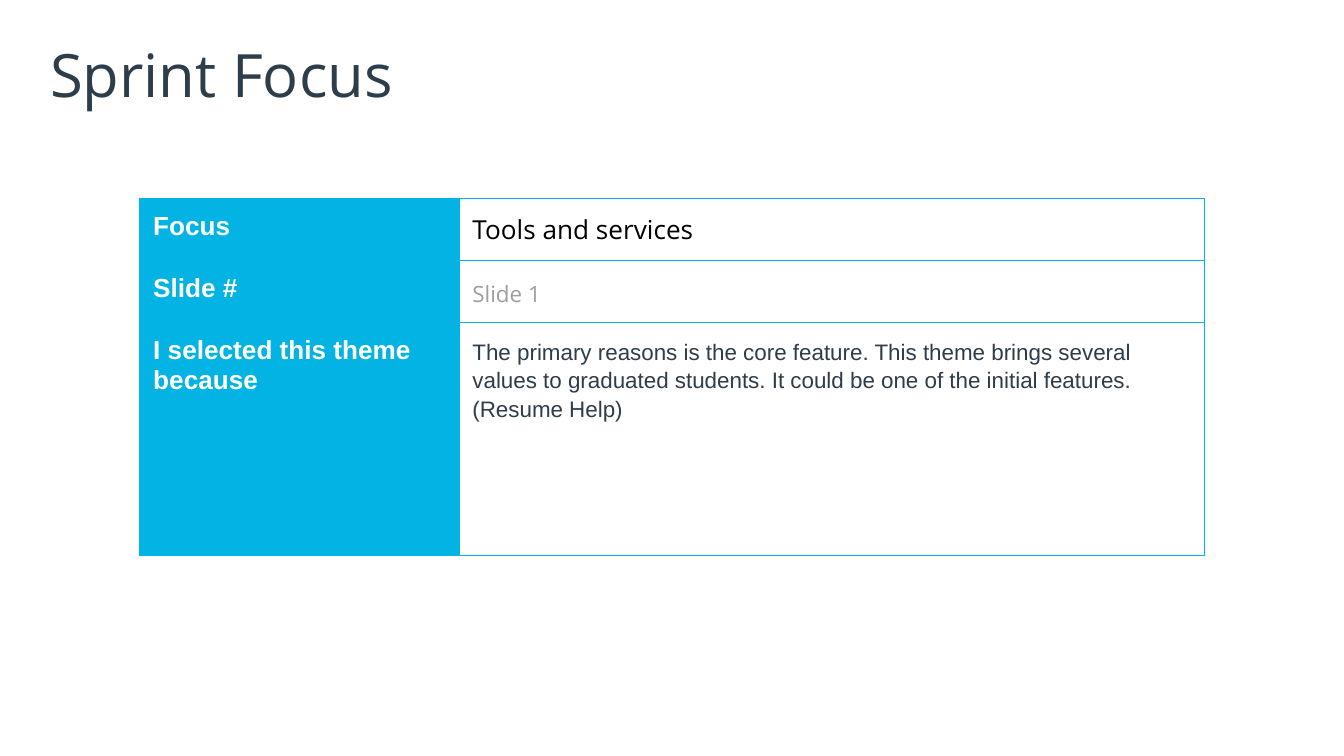
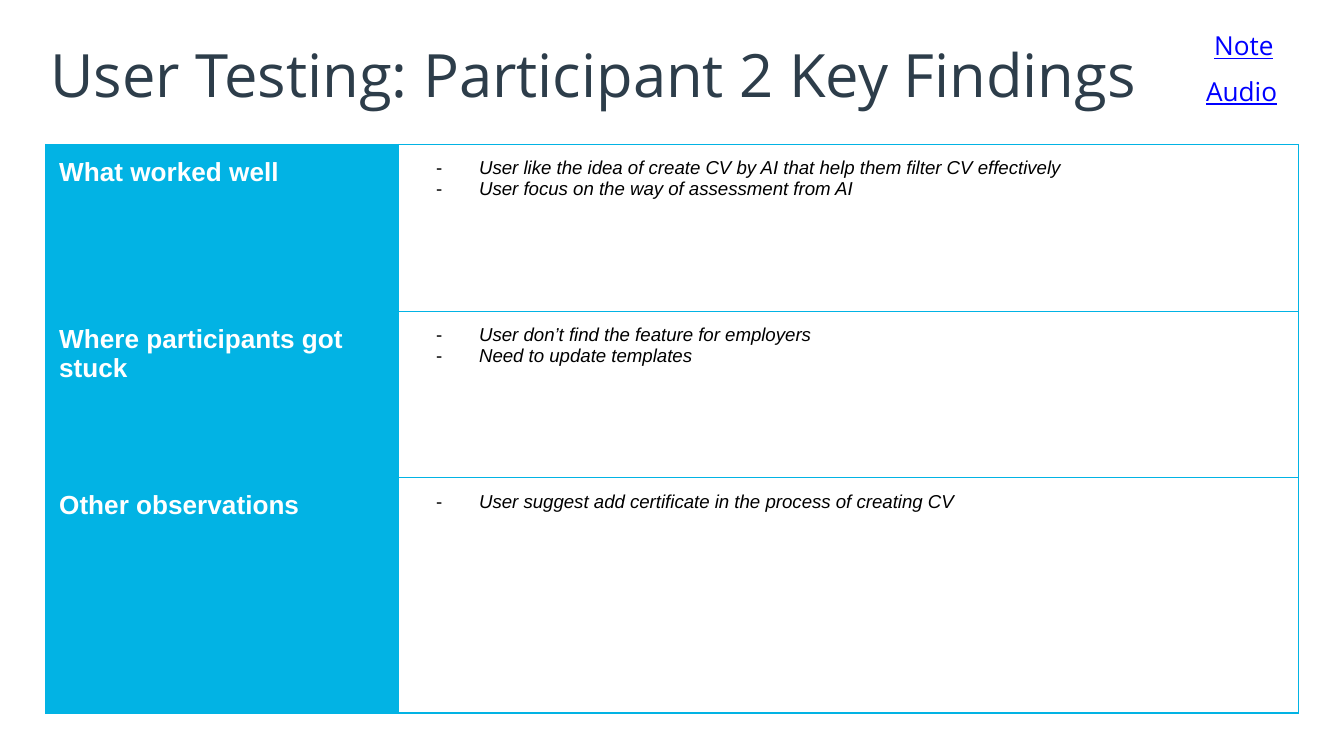
from lxml import etree
from pptx import Presentation
from pptx.dml.color import RGBColor
from pptx.enum.text import MSO_ANCHOR
from pptx.oxml.ns import qn
from pptx.util import Emu, Inches, Pt

MIDDLE = MSO_ANCHOR.MIDDLE
SANS, ARIAL = "Open Sans", "Arial"
SLATE, INK, CYAN = "2D3D4A", "2E3D49", "02B3E4"
WHITE, BLACK, GREY, LINK = "FFFFFF", "000000", "9E9E9E", "0000FF"
BORDERS = ("a:lnL", "a:lnR", "a:lnT", "a:lnB")
BLANK = 6
GRID = 100  # the slide is 100 square units wide

prs = Presentation()
prs.slide_width = Inches(10)
prs.slide_height = Emu(prs.slide_width * 9 // 16)


def rgb(value):
    return RGBColor.from_string(value)


def units(n):
    """Length of n grid units."""
    return Emu(round(prs.slide_width * n / GRID))


def add_run(p, text, size, font, color, bold=False, italic=False, underline=False):
    r = p.add_run()
    r.text = text
    f = r.font
    f.size, f.name, f.color.rgb = Pt(size), font, rgb(color)
    f.bold, f.italic, f.underline = bold, italic, underline


def add_text(slide, box, inset, text, size, color, anchor=None, underline=False):
    tf = slide.shapes.add_textbox(*map(units, box)).text_frame
    tf.word_wrap = True
    tf.margin_left = tf.margin_right = tf.margin_top = tf.margin_bottom = units(inset)
    if anchor is not None:
        tf.vertical_anchor = anchor
    add_run(tf.paragraphs[0], text, size, SANS, color, underline=underline)


def add_titled_slide(title):
    slide = prs.slides.add_slide(prs.slide_layouts[BLANK])
    slide.background.fill.solid()
    slide.background.fill.fore_color.rgb = rgb(WHITE)
    add_text(slide, (3.35, 2.3, 93.2, 6.3), 0.38, title, 32, SLATE, anchor=MIDDLE)
    return slide


def add_color(parent, tag, color):
    etree.SubElement(etree.SubElement(parent, qn(tag)), qn("a:srgbClr"), val=color)


def style_cell(cell, fill=None):
    cell.margin_left = cell.margin_right = units(1)
    cell.margin_top = cell.margin_bottom = units(1)
    tcPr = cell._tc.get_or_add_tcPr()
    for tag in BORDERS:
        line = etree.SubElement(tcPr, qn(tag), w=str(Pt(0.75)))
        add_color(line, "a:solidFill", CYAN)
    if fill:
        cell.fill.solid()
        cell.fill.fore_color.rgb = rgb(fill)
    else:
        cell.fill.background()


def add_dash(p, size):
    pPr = p._p.get_or_add_pPr()
    pPr.set("marL", str(units(5)))
    pPr.set("indent", str(units(-3.2)))
    add_color(pPr, "a:buClr", BLACK)
    etree.SubElement(pPr, qn("a:buSzPts"), val=str(size * 100))
    etree.SubElement(pPr, qn("a:buFont"), typeface=ARIAL)
    etree.SubElement(pPr, qn("a:buChar"), char="-")


def write_findings(cell, lines, size=10):
    tf = cell.text_frame
    for i, line in enumerate(lines):
        p = tf.add_paragraph() if i else tf.paragraphs[0]
        add_dash(p, size)
        add_run(p, line, size, ARIAL, BLACK, italic=True)


def write_answer(cell, answer):
    text, size, font, color, spacing = answer
    p = cell.text_frame.paragraphs[0]
    if spacing:
        p.line_spacing = spacing
    add_run(p, text, size, font, color)


def add_label_table(slide, left, top, widths, heights, rows, write):
    """Cyan label column beside a column that write() fills."""
    box = map(units, (left, top, sum(widths), sum(heights)))
    table = slide.shapes.add_table(len(rows), len(widths), *box).table
    table.first_row = table.horz_banding = False
    for column, width in zip(table.columns, widths):
        column.width = units(width)
    for i, (height, (label, content)) in enumerate(zip(heights, rows)):
        table.rows[i].height = units(height)
        head, body = table.cell(i, 0), table.cell(i, 1)
        style_cell(head, CYAN)
        style_cell(body)
        add_run(head.text_frame.paragraphs[0], label, 14, ARIAL, WHITE, bold=True)
        write(body, content)


def build_sprint_focus():
    slide = add_titled_slide("Sprint Focus")
    reason = ("The primary reasons is the core feature. This theme brings several values to "
              "graduated students. It could be one of the initial features. (Resume Help)")
    rows = [
        ("Focus", ("Tools and services", 14, SANS, BLACK, None)),
        ("Slide #", ("Slide 1", 12, SANS, GREY, 1.15)),
        ("I selected this theme because", (reason, 12, ARIAL, INK, 1.15)),
    ]
    add_label_table(slide, 10.4, 14.75, (23.75, 55.45), (4.65, 4.6, 17.35), rows, write_answer)


def build_key_findings():
    slide = add_titled_slide("User Testing: Participant 2 Key Findings")
    rows = [
        ("What worked well",
         ["User like the idea of create CV by AI that help them filter CV effectively",
          "User focus on the way of assessment from AI"]),
        ("Where participants got stuck",
         ["User don’t find the feature for employers", "Need to update templates"]),
        ("Other observations",
         ["User suggest add certificate in the process of creating CV"]),
    ]
    add_label_table(slide, 3.4, 10.75, (26.25, 66.95), (12.4, 12.4, 17.5), rows, write_findings)
    for text, left, top in (("Audio", 88.75, 4.6), ("Note", 89.35, 1.2)):
        add_text(slide, (left, top, 8.2, 4.4), 1, text, 14, LINK, underline=True)


def main():
    build_sprint_focus()
    build_key_findings()
    prs.save("out.pptx")


if __name__ == "__main__":
    main()
